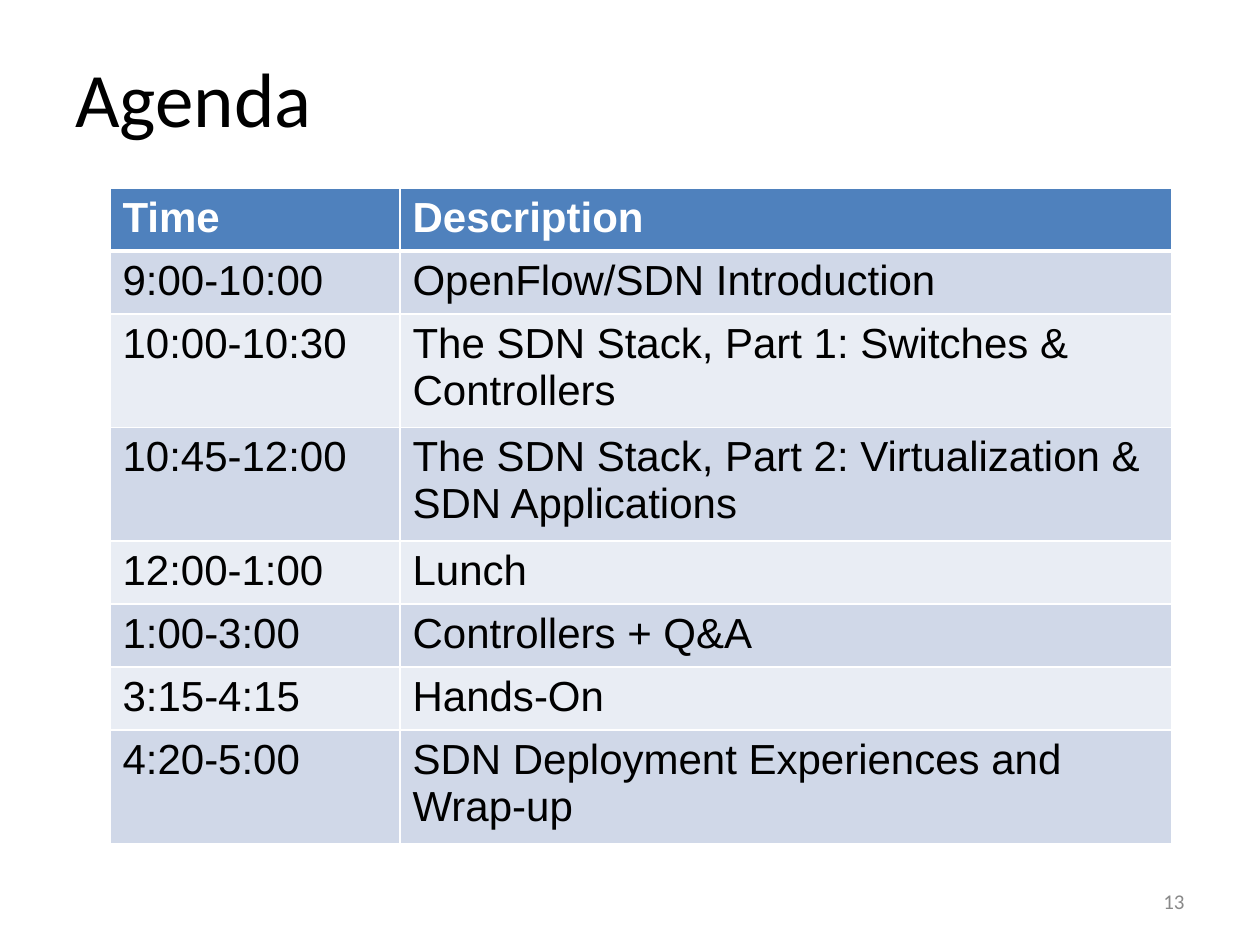
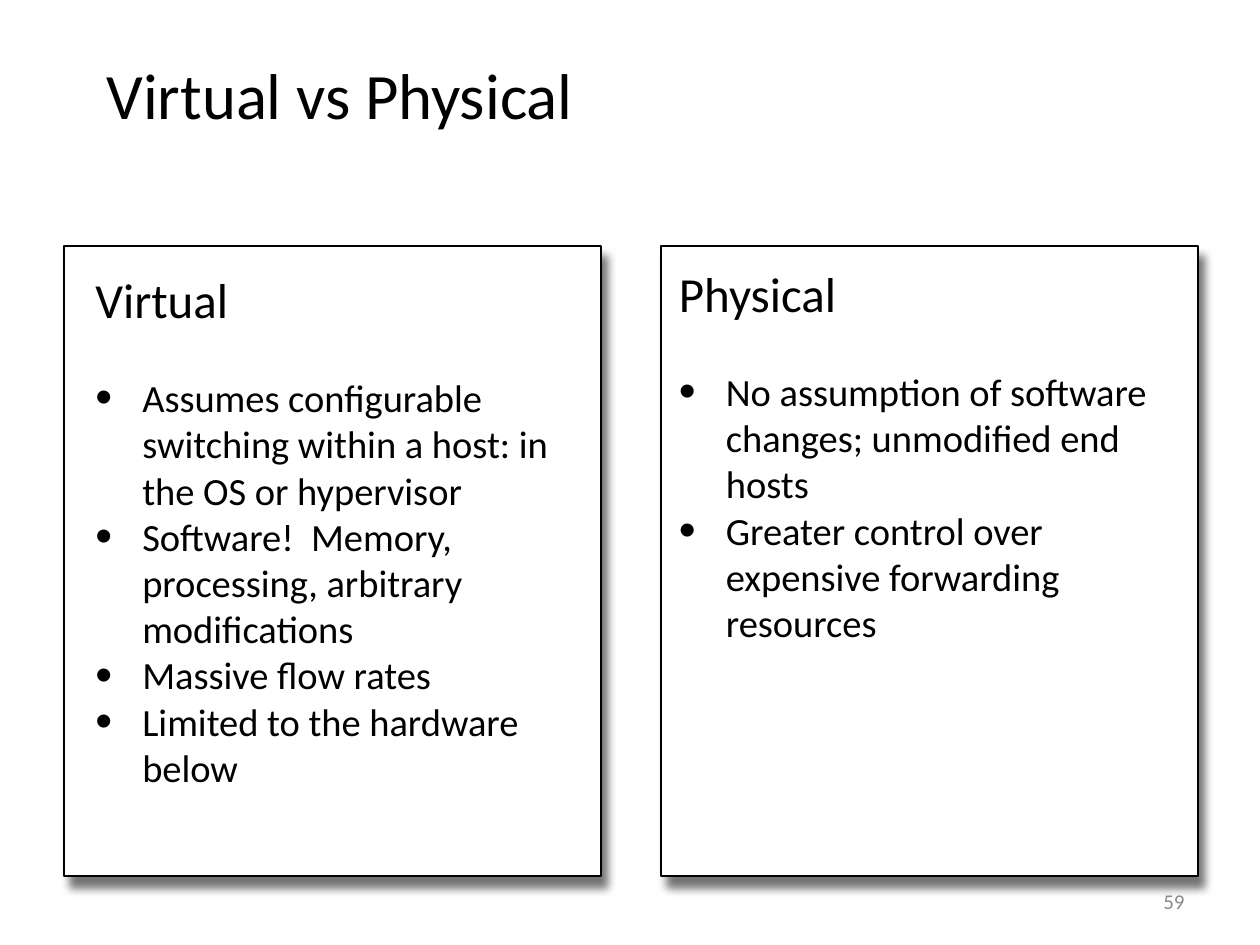
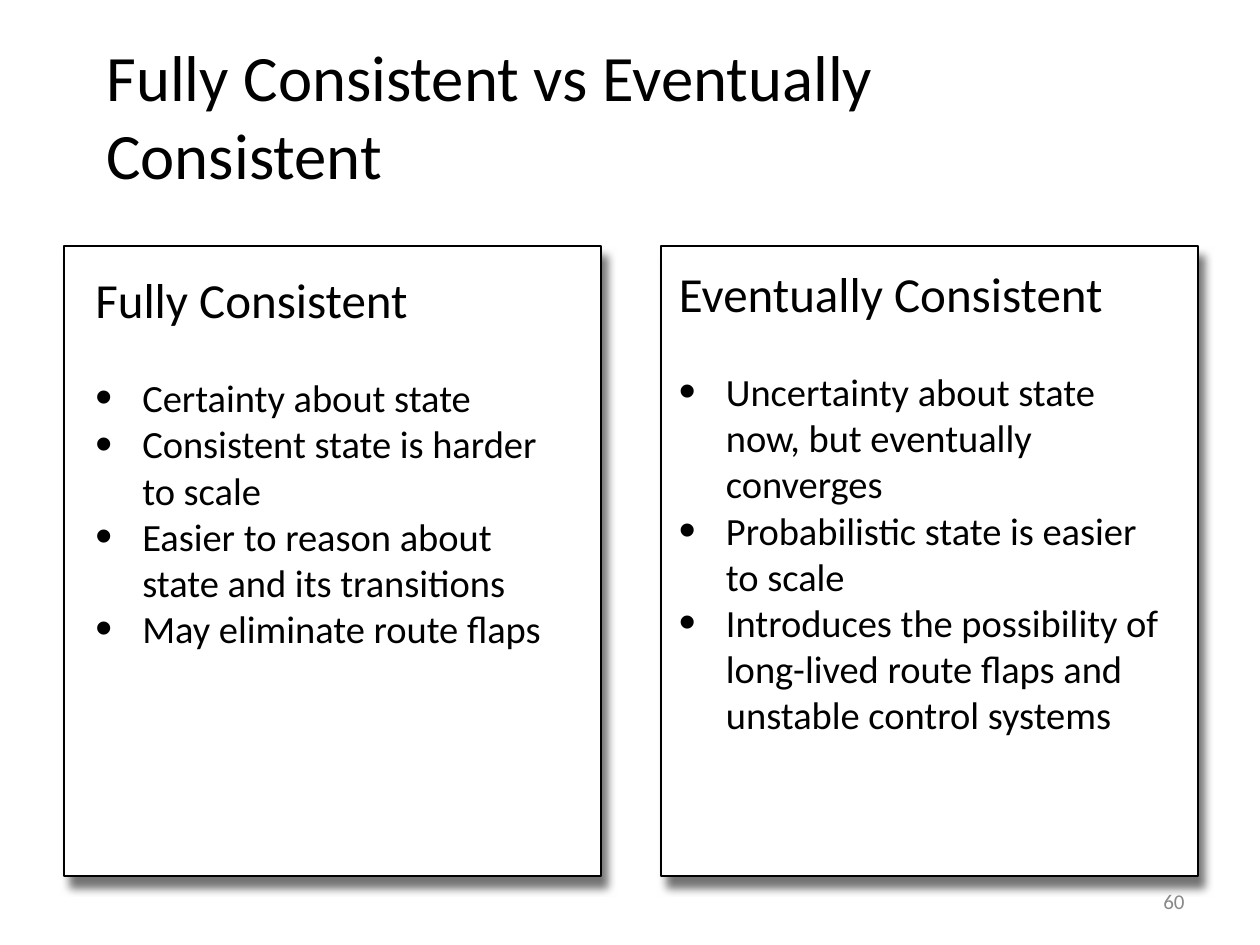
from lxml.etree import SubElement
from pptx import Presentation
from pptx.dml.color import RGBColor
from pptx.enum.shapes import MSO_SHAPE
from pptx.enum.text import MSO_ANCHOR, PP_ALIGN
from pptx.oxml.ns import qn
from pptx.util import Emu, Pt

SCALE = 914400 / 126
BLACK, WHITE, GREY = "000000", "FFFFFF", "898989"
HEAD, BANDS = "4F81BD", ("D0D8E8", "E9EDF4")
BODY, HEADING = 22, 28
ONE_LINE, TWO_LINES = 59, 106

AGENDA = [
    ("Time", "Description", ONE_LINE),
    ("9:00-10:00", "OpenFlow/SDN Introduction", ONE_LINE),
    ("10:00-10:30", "The SDN Stack, Part 1: Switches & Controllers", TWO_LINES),
    ("10:45-12:00", "The SDN Stack, Part 2: Virtualization & SDN Applications",
     TWO_LINES),
    ("12:00-1:00", "Lunch", ONE_LINE),
    ("1:00-3:00", "Controllers + Q&A", ONE_LINE),
    ("3:15-4:15", "Hands-On", ONE_LINE),
    ("4:20-5:00", "SDN Deployment Experiences and Wrap-up", TWO_LINES),
]
VIRTUAL = ("Virtual", [
    "Assumes configurable switching within a host: in the OS or hypervisor",
    "Software!  Memory, processing, arbitrary modifications",
    "Massive flow rates",
    "Limited to the hardware below",
])
PHYSICAL = ("Physical", [
    "No assumption of software changes; unmodified end hosts",
    "Greater control over expensive forwarding resources",
])
FULL = ("Fully Consistent", [
    "Certainty about state",
    "Consistent state is harder to scale",
    "Easier to reason about state and its transitions",
    "May eliminate route flaps",
])
EVENTUAL = ("Eventually Consistent", [
    "Uncertainty about state now, but eventually converges",
    "Probabilistic state is easier to scale",
    "Introduces the possibility of long-lived route flaps and unstable control systems",
])


def px(count):
    return Emu(round(count * SCALE))


def color(code):
    return RGBColor.from_string(code)


def node(parent, tag, **attrs):
    """Append a DrawingML element to parent."""
    return SubElement(parent, qn(tag), {k: str(v) for k, v in attrs.items()})


def style(para, size, code=BLACK, face="Calibri", bold=False):
    for run in para.runs:
        font = run.font
        font.name, font.size, font.bold = face, Pt(size), bold
        font.color.rgb = color(code)


def text_box(slide, place, anchor=MSO_ANCHOR.MIDDLE):
    frame = slide.shapes.add_textbox(*map(px, place)).text_frame
    frame.word_wrap = True
    frame.vertical_anchor = anchor
    return frame


def add_title(slide, text, place, size, low=6):
    """Centre the title between the top inset and the low inset."""
    frame = text_box(slide, place)
    frame.margin_bottom = px(low)
    frame.text = text
    style(frame.paragraphs[0], size)


def add_page(slide, number):
    frame = text_box(slide, (903, 876, 294, 50))
    frame.text = str(number)
    para = frame.paragraphs[0]
    para.alignment = PP_ALIGN.RIGHT
    style(para, 12, GREY)


def add_card(slide, left):
    card = slide.shapes.add_shape(
        MSO_SHAPE.RECTANGLE, px(left), px(246), px(537), px(630))
    card.fill.solid()
    card.fill.fore_color.rgb = color(WHITE)
    card.line.color.rgb = color(BLACK)
    card.line.width = Pt(1)
    card.shadow.inherit = False
    effects = card._element.spPr.find(qn("a:effectLst"))
    shadow = node(effects, "a:outerShdw", blurRad=Pt(5), dist=Pt(7),
                  dir=60 * 60000, algn="ctr", rotWithShape=0)
    tint = node(shadow, "a:srgbClr", val=BLACK)
    node(tint, "a:alpha", val=55000)


def add_bullet(para):
    props = para._p.get_or_add_pPr()
    props.set("marL", str(px(47)))
    props.set("indent", str(-px(47)))
    node(props, "a:buSzPct", val=125000)
    node(props, "a:buFont", typeface="Arial")
    node(props, "a:buChar", char="•")


def add_list(slide, left, content, inset=True):
    heading, items = content
    frame = text_box(slide, (left, 263, 494, 601), MSO_ANCHOR.TOP)
    if not inset:
        frame.margin_left = frame.margin_right = 0
        frame.margin_top = frame.margin_bottom = 0
    frame.text = heading
    style(frame.paragraphs[0], HEADING)
    for index, item in enumerate(items):
        para = frame.add_paragraph()
        para.text = item
        add_bullet(para)
        if index == 0:
            para.space_before = Pt(26.4)
        style(para, BODY)


def add_edge(cell, side, width):
    line = node(cell._tc.get_or_add_tcPr(), f"a:ln{side}", w=Pt(width))
    node(node(line, "a:solidFill"), "a:srgbClr", val=WHITE)


def add_agenda(slide):
    total = sum(height for *_, height in AGENDA)
    table = slide.shapes.add_table(
        len(AGENDA), 2, px(110), px(188), px(1062), px(total)).table
    for column, width in zip(table.columns, (290, 772)):
        column.width = px(width)
    for row, (*texts, height) in enumerate(AGENDA):
        table.rows[row].height = px(height)
        top = row == 0
        for col, text in enumerate(texts):
            cell = table.cell(row, col)
            for side in "LRTB":
                thick = (top and side == "B") or (row == 1 and side == "T")
                add_edge(cell, side, 3 if thick else 1)
            cell.fill.solid()
            cell.fill.fore_color.rgb = color(HEAD if top else BANDS[(row - 1) % 2])
            cell.text = text
            style(cell.text_frame.paragraphs[0], 24, WHITE if top else BLACK,
                  "Arial", top)


def add_versus(slide, title, first, second, low=6):
    """Set two lists side by side on cards."""
    add_card(slide, 64)
    add_title(slide, title, (94, 30, 1075, 169), 37, low)
    add_list(slide, 83, first)
    add_card(slide, 661)
    add_list(slide, 679, second, inset=False)


def main():
    deck = Presentation()
    deck.slide_width, deck.slide_height = px(1260), px(945)
    blank = deck.slide_layouts[6]
    agenda, places, states = (deck.slides.add_slide(blank) for _ in range(3))

    add_title(agenda, "Agenda", (63, 34, 1134, 126), 44)
    add_agenda(agenda)
    add_versus(places, "Virtual vs Physical", VIRTUAL, PHYSICAL, low=48)
    add_versus(states, "Fully Consistent vs Eventually Consistent", FULL, EVENTUAL)
    for slide, number in ((agenda, 13), (places, 59), (states, 60)):
        add_page(slide, number)
    deck.save("out.pptx")


if __name__ == "__main__":
    main()
